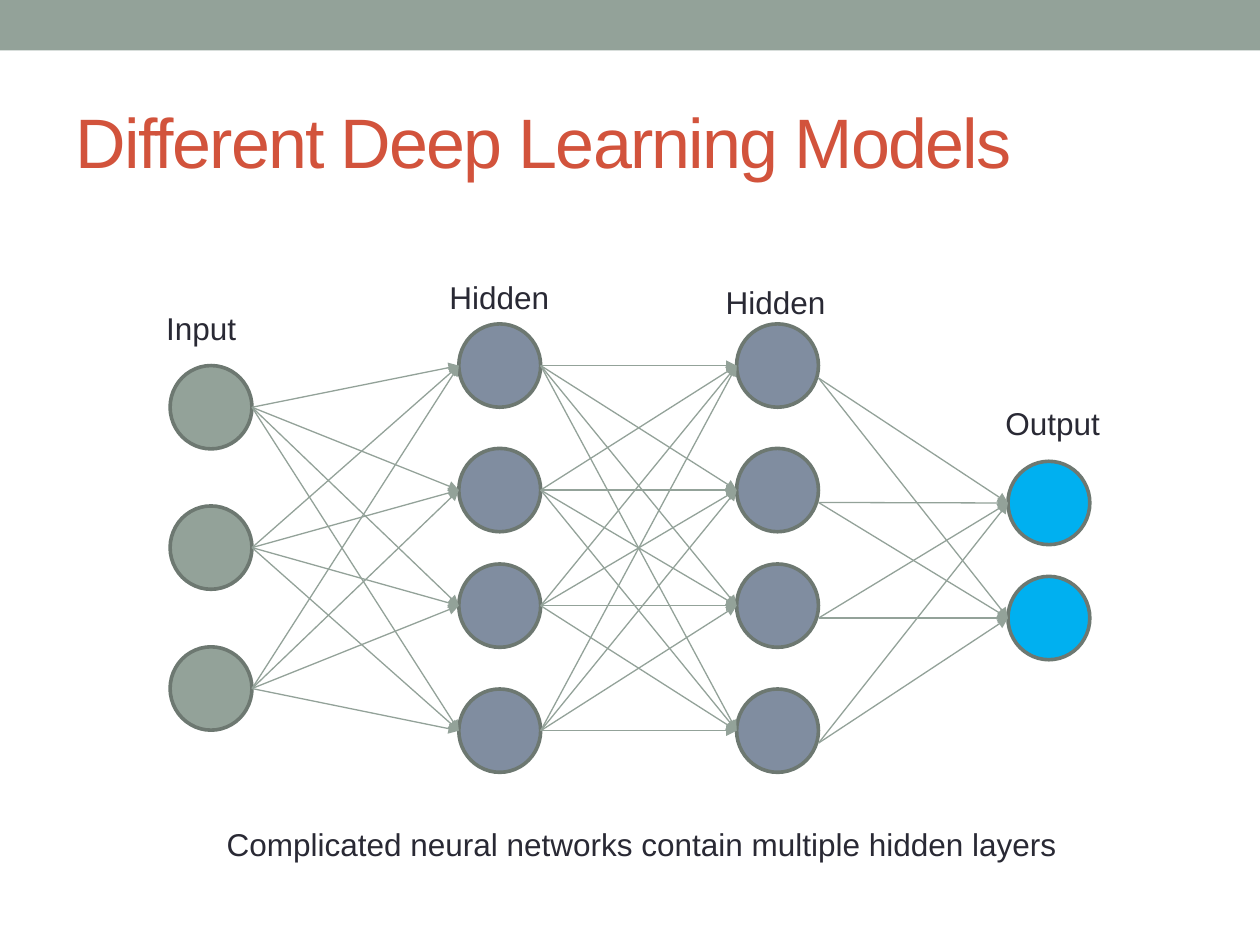
"""Build a slide showing a neural network with two hidden layers."""
import dataclasses
import itertools

import lxml.etree
import pptx
import pptx.dml.color
import pptx.enum.shapes
import pptx.enum.text
import pptx.oxml.ns
import pptx.util

Cm = pptx.util.Cm
Pt = pptx.util.Pt
RGBColor = pptx.dml.color.RGBColor
qn = pptx.oxml.ns.qn

SAGE = RGBColor(0x93, 0xA2, 0x99)
SLATE = RGBColor(0x80, 0x8D, 0xA0)
SKY = RGBColor(0x00, 0xB0, 0xF0)
OUTLINE = RGBColor(0x6D, 0x78, 0x71)
RUST = RGBColor(0xD2, 0x53, 0x3C)
INK = RGBColor(0x29, 0x29, 0x34)

NODE_W, NODE_H = 1.65, 1.68
LABEL_H = 1.02
HIDDEN_TOPS = (6.53, 9.04, 11.37, 13.89)


@dataclasses.dataclass(frozen=True)
class Label:
    """A line of text and its box in centimetres."""
    text: str
    left: float
    top: float
    width: float
    wrap: bool = True


@dataclasses.dataclass(frozen=True)
class Layer:
    """A column of nodes, its label and how far its arrows start below centre."""
    label: Label
    left: float
    tops: tuple[float, ...]
    fill: RGBColor
    exit_drop: float = 0


LAYERS = (
    Layer(Label("Input", 3.1, 6.1, 1.98), 3.43, (7.37, 10.2, 13.04), SAGE),
    Layer(Label("Hidden", 8.81, 5.49, 2.59), 9.25, HIDDEN_TOPS, SLATE),
    Layer(Label("Hidden", 14.38, 5.59, 2.59), 14.85, HIDDEN_TOPS, SLATE, 0.25),
    Layer(Label("Output", 20.02, 8.03, 2.51), 20.32, (9.3, 11.62), SKY),
)
CAPTION = Label("Complicated neural networks contain multiple hidden layers",
                4.32, 16.51, 17.4, wrap=False)


def apply(obj, values: dict) -> None:
    """Set each named attribute on an object."""
    for name, value in values.items():
        setattr(obj, name, value)


def write(tf, text: str, size: float, color: RGBColor):
    """Put one left-aligned Arial run in a text frame and return it."""
    p = tf.paragraphs[0]
    p.alignment = pptx.enum.text.PP_ALIGN.LEFT
    r = p.add_run()
    r.text = text
    apply(r.font, {"name": "Arial", "size": Pt(size)})
    r.font.color.rgb = color
    return r


def add_title(s, text: str) -> None:
    """Fill and place the title placeholder."""
    sp = s.shapes.title
    apply(sp, {"left": Cm(1.27), "top": Cm(1.47), "width": Cm(22.86), "height": Cm(2.74)})
    apply(sp.text_frame, {"word_wrap": True,
                          "vertical_anchor": pptx.enum.text.MSO_ANCHOR.MIDDLE})
    r = write(sp.text_frame, text, 40, RUST)
    r.font._element.set("spc", "-100")


def add_label(s, label: Label) -> None:
    """Add a text box for a label."""
    sp = s.shapes.add_textbox(Cm(label.left), Cm(label.top), Cm(label.width), Cm(LABEL_H))
    apply(sp.text_frame, {"word_wrap": label.wrap,
                          "auto_size": pptx.enum.text.MSO_AUTO_SIZE.SHAPE_TO_FIT_TEXT})
    write(sp.text_frame, label.text, 18, INK)


def add_filled(s, kind, left: float, top: float, width: float, height: float,
               fill: RGBColor):
    """Add a flat shape without shadow and return it."""
    sp = s.shapes.add_shape(kind, Cm(left), Cm(top), Cm(width), Cm(height))
    sp.shadow.inherit = False
    sp.fill.solid()
    sp.fill.fore_color.rgb = fill
    return sp


def add_arrow(s, x1: float, y1: float, x2: float, y2: float) -> None:
    """Add a thin connector with a triangle at its end."""
    cxn = s.shapes.add_connector(pptx.enum.shapes.MSO_CONNECTOR.STRAIGHT,
                                 Cm(x1), Cm(y1), Cm(x2), Cm(y2))
    cxn.line.color.rgb = SAGE
    cxn.line.width = Pt(0.75)
    spPr = cxn._element.spPr
    lxml.etree.SubElement(spPr.find(qn("a:ln")), qn("a:tailEnd"), type="triangle")
    lxml.etree.SubElement(spPr, qn("a:effectLst"))


def add_layer(s, layer: Layer) -> None:
    """Draw the nodes and label of one layer."""
    for top in layer.tops:
        sp = add_filled(s, pptx.enum.shapes.MSO_SHAPE.OVAL, layer.left, top,
                        NODE_W, NODE_H, layer.fill)
        sp.line.color.rgb = OUTLINE
        sp.line.width = Pt(2.08)
    add_label(s, layer.label)


def connect(s, source: Layer, target: Layer) -> None:
    """Draw an arrow from every source node to every target node."""
    for start, end in itertools.product(source.tops, target.tops):
        add_arrow(s, source.left + NODE_W, start + NODE_H / 2 + source.exit_drop,
                  target.left, end + NODE_H / 2)


def main() -> None:
    """Assemble and save the slide."""
    prs = pptx.Presentation()
    apply(prs, {"slide_width": Cm(25.4), "slide_height": Cm(19.05)})
    s = prs.slides.add_slide(prs.slide_layouts.get_by_name("Title Only"))
    bar = add_filled(s, pptx.enum.shapes.MSO_SHAPE.RECTANGLE, 0, 0, 25.4, 1.02, SAGE)
    bar.line.fill.background()
    add_title(s, "Different Deep Learning Models")
    for layer in LAYERS:
        add_layer(s, layer)
    for source, target in itertools.pairwise(LAYERS):
        connect(s, source, target)
    add_label(s, CAPTION)
    prs.save("out.pptx")


if __name__ == "__main__":
    main()
